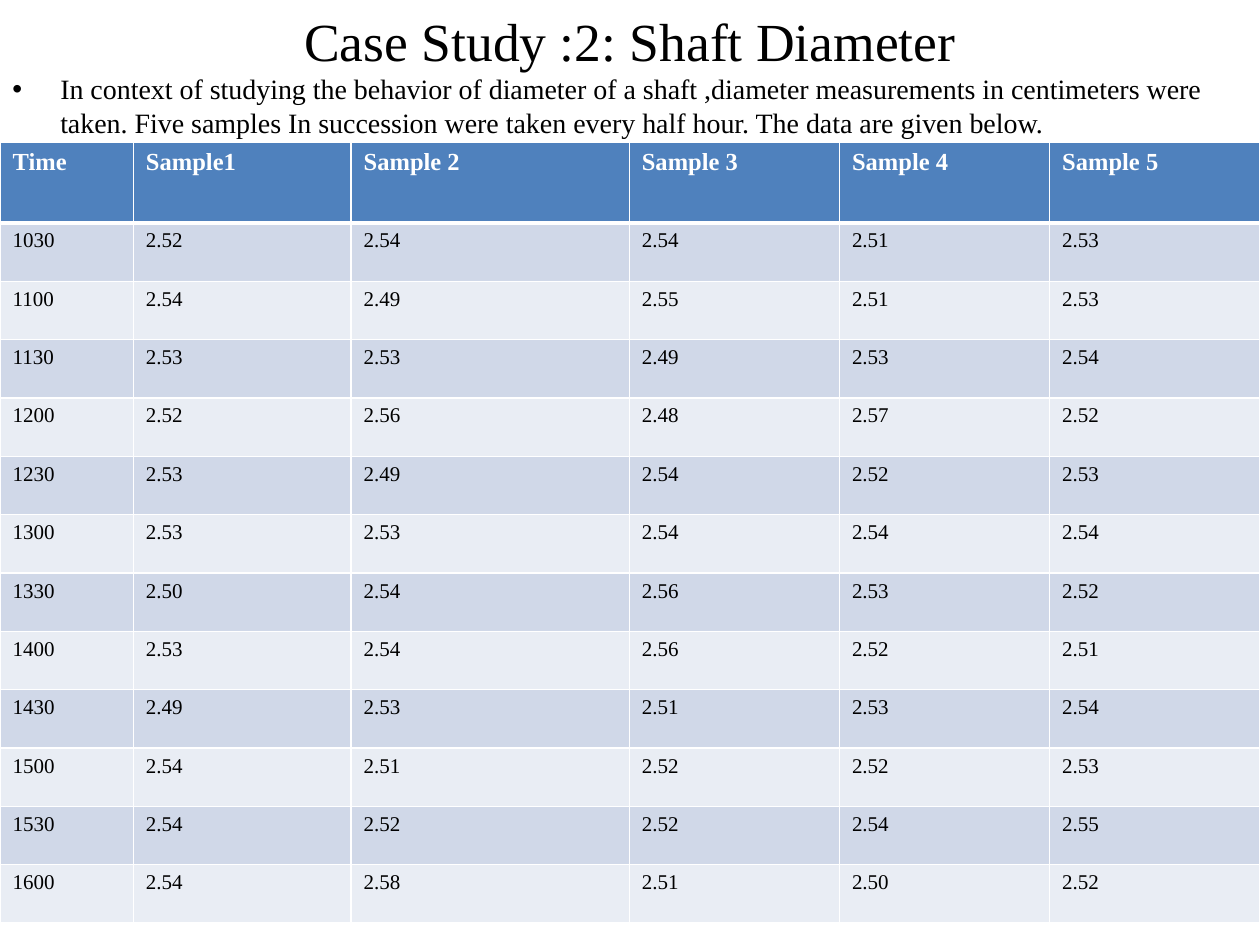
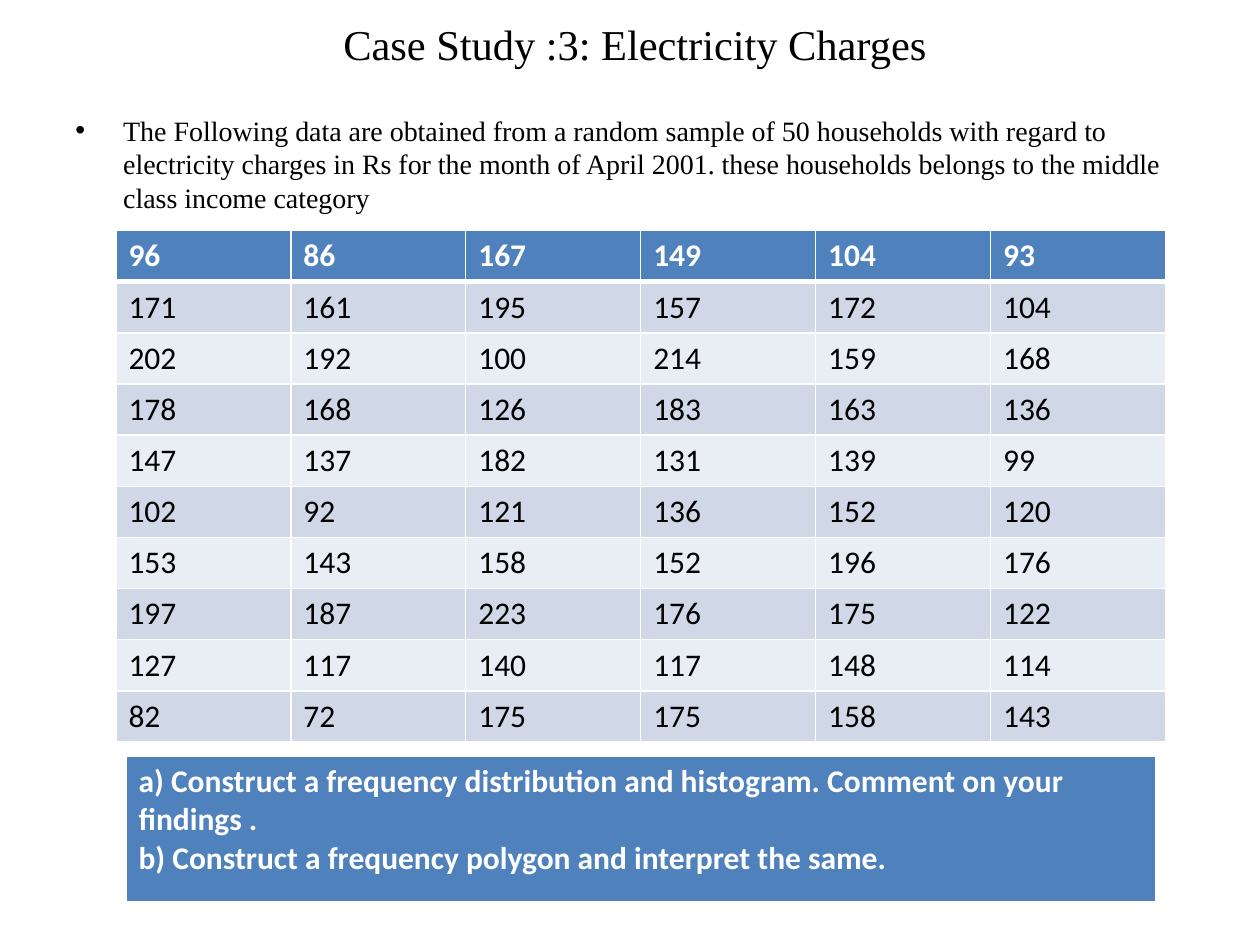
from lxml import etree
from pptx import Presentation
from pptx.dml.color import RGBColor
from pptx.enum.text import MSO_ANCHOR, PP_ALIGN
from pptx.oxml.ns import qn
from pptx.util import Inches, Pt

LEFT, CENTER = PP_ALIGN.LEFT, PP_ALIGN.CENTER
TOP, MIDDLE = MSO_ANCHOR.TOP, MSO_ANCHOR.MIDDLE

COLORS = {"head": "4F81BD", "odd": "D0D8E8", "even": "E9EDF4",
          "white": "FFFFFF", "black": "000000"}
SERIF, SANS = "Times New Roman", "Calibri"

SHAFT_INTRO = (
    "In context of studying the behavior of diameter of a shaft ,diameter "
    "measurements in centimeters were taken. Five samples In succession were "
    "taken every half hour. The data are given below.")
SHAFT_HEAD = ["Time", "Sample1", "Sample 2", "Sample 3", "Sample 4", "Sample 5"]
SHAFT_DATA = """
1030 2.52 2.54 2.54 2.51 2.53
1100 2.54 2.49 2.55 2.51 2.53
1130 2.53 2.53 2.49 2.53 2.54
1200 2.52 2.56 2.48 2.57 2.52
1230 2.53 2.49 2.54 2.52 2.53
1300 2.53 2.53 2.54 2.54 2.54
1330 2.50 2.54 2.56 2.53 2.52
1400 2.53 2.54 2.56 2.52 2.51
1430 2.49 2.53 2.51 2.53 2.54
1500 2.54 2.51 2.52 2.52 2.53
1530 2.54 2.52 2.52 2.54 2.55
1600 2.54 2.58 2.51 2.50 2.52
"""

POWER_INTRO = (
    "The Following data are obtained from a random sample of 50 households "
    "with regard to electricity charges in Rs for the month of April 2001. "
    "these households belongs to the middle class income category")
POWER_DATA = """
96 86 167 149 104 93
171 161 195 157 172 104
202 192 100 214 159 168
178 168 126 183 163 136
147 137 182 131 139 99
102 92 121 136 152 120
153 143 158 152 196 176
197 187 223 176 175 122
127 117 140 117 148 114
82 72 175 175 158 143
"""
TASKS = ["a) Construct a frequency distribution and histogram. "
         "Comment on your findings .",
         "b) Construct a frequency polygon and interpret the same."]


def write(frame, text, size=16, font=SERIF, color="black", bold=False,
          align=LEFT, bullet=False):
    """Fill a text frame with one paragraph, or one per list item."""
    lines = text if isinstance(text, list) else [text]
    for i, line in enumerate(lines):
        para = frame.add_paragraph() if i else frame.paragraphs[0]
        if bullet:
            props = para._p.get_or_add_pPr()
            props.set("marL", str(Inches(0.38)))
            props.set("indent", str(Inches(-0.38)))
            etree.SubElement(props, qn("a:buFont"), typeface="Arial")
            etree.SubElement(props, qn("a:buChar"), char="•")
        para.alignment = align
        run = para.add_run()
        run.text = line
        run.font.size, run.font.name, run.font.bold = Pt(size), font, bold
        run.font.color.rgb = RGBColor.from_string(COLORS[color])


def add_text(slide, box, text, anchor=TOP, **style):
    frame = slide.shapes.add_textbox(*map(Inches, box)).text_frame
    frame.word_wrap = True
    frame.vertical_anchor = anchor
    write(frame, text, **style)


def add_title(slide, box, text, size):
    add_text(slide, box, text, anchor=MIDDLE, size=size, align=CENTER)


def set_edges(cell, top, bottom):
    """Draw white cell borders; side borders are 1 pt."""
    props = cell._tc.get_or_add_tcPr()
    for side, width in (("L", 1), ("R", 1), ("T", top), ("B", bottom)):
        line = etree.SubElement(props, qn("a:ln" + side), w=str(Pt(width)))
        fill = etree.SubElement(line, qn("a:solidFill"))
        etree.SubElement(fill, qn("a:srgbClr"), val=COLORS["white"])


def add_grid(slide, box, rows, cols, head=None, size=18, head_size=18,
             font=SANS):
    """Add a banded table: head is the first row's height, the rest is shared."""
    table = slide.shapes.add_table(
        len(rows), len(cols), *map(Inches, box)).table
    for col, share in zip(table.columns, cols):
        col.width = Inches(box[2] * share / sum(cols))
    head = head or box[3] / len(rows)
    for r, row in enumerate(rows):
        high = (box[3] - head) / (len(rows) - 1) if r else head
        table.rows[r].height = Inches(high)
        band = ("odd" if r % 2 else "even") if r else "head"
        for c, value in enumerate(row):
            cell = table.cell(r, c)
            set_edges(cell, 3 if r == 1 else 1, 1 if r else 3)
            cell.fill.solid()
            cell.fill.fore_color.rgb = RGBColor.from_string(COLORS[band])
            write(cell.text_frame, value, size=size if r else head_size,
                  font=font, color="black" if r else "white", bold=not r)


def split(data):
    return [line.split() for line in data.strip().splitlines()]


def add_shaft(slide):
    add_title(slide, (0.5, 0, 9, 0.64), "Case Study :2: Shaft Diameter", 30.6)
    add_text(slide, (0, 0.52, 9.75, 0.6), SHAFT_INTRO, bullet=True)
    add_grid(slide, (0, 1.13, 10, 6.2), [SHAFT_HEAD] + split(SHAFT_DATA),
             [1.06, 1.73, 2.21, 1.67, 1.67, 1.67], head=0.64,
             size=12, head_size=14, font=SERIF)


def add_power(slide):
    add_title(slide, (0.33, 0.18, 9.42, 0.33),
              "Case Study :3: Electricity Charges", 24.3)
    add_text(slide, (0.5, 0.85, 9, 0.9), POWER_INTRO, bullet=True)
    add_grid(slide, (0.92, 1.83, 8.33, 4.06), split(POWER_DATA), [1] * 6)
    # Tasks sit in a table of one cell
    add_grid(slide, (1, 6, 8.17, 1.17), [[TASKS]], [1])


def main():
    deck = Presentation()
    deck.slide_width, deck.slide_height = Inches(10), Inches(7.5)
    blank = deck.slide_layouts[6]
    for build in (add_shaft, add_power):
        build(deck.slides.add_slide(blank))
    deck.save("out.pptx")


if __name__ == "__main__":
    main()
